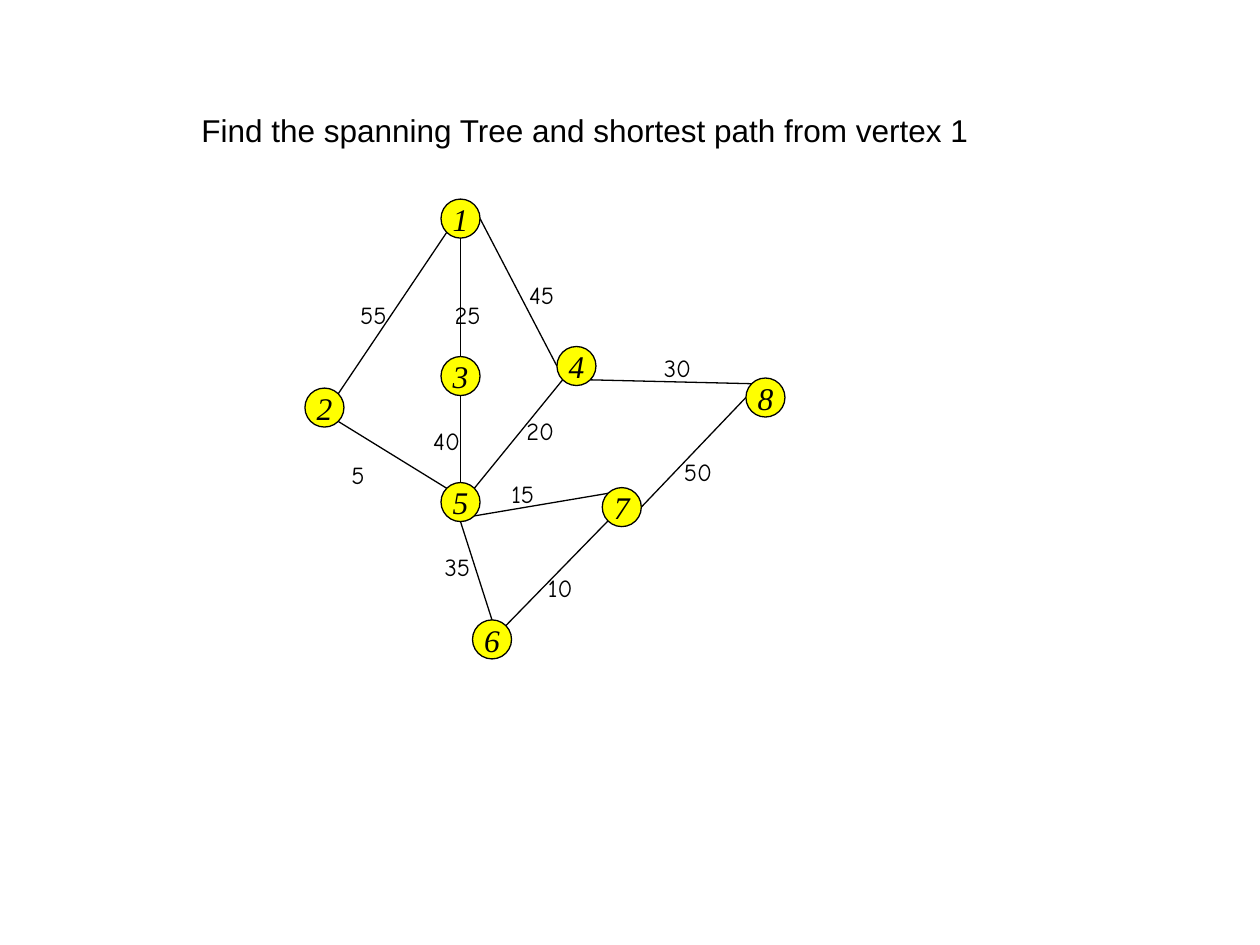
import dataclasses
import math

import lxml.etree
import pptx
import pptx.dml.color
import pptx.enum.shapes
import pptx.enum.text
import pptx.oxml.ns
import pptx.util

PX = 9144
NODE_SIZE = 31
BLACK = "000000"
YELLOW = "FFFF00"
TOP, TOP_LEFT, LEFT, BOTTOM_LEFT, BOTTOM, BOTTOM_RIGHT, RIGHT, TOP_RIGHT = range(8)


@dataclasses.dataclass(frozen=True)
class Node:
    name: str
    left: int
    top: int

    def site(self, index: int) -> tuple[int, int]:
        radius = NODE_SIZE / 2
        angle = math.radians(45 * index)
        return (
            round((self.left + radius - radius * math.sin(angle)) * PX),
            round((self.top + radius - radius * math.cos(angle)) * PX),
        )


@dataclasses.dataclass(frozen=True)
class Edge:
    start: str
    start_site: int
    end: str
    end_site: int


@dataclasses.dataclass(frozen=True)
class Label:
    text: str
    left: int
    top: int
    width: int
    height: int = 34


NODES = [
    Node("1", 350, 158),
    Node("2", 242, 308),
    Node("3", 350, 283),
    Node("4", 442, 275),
    Node("5", 350, 383),
    Node("6", 375, 492),
    Node("7", 478, 387),
    Node("8", 592, 300),
]
EDGES = [
    Edge("2", TOP_RIGHT, "1", BOTTOM_LEFT),
    Edge("2", BOTTOM_RIGHT, "5", TOP_LEFT),
    Edge("3", TOP, "1", BOTTOM),
    Edge("3", BOTTOM, "5", TOP),
    Edge("5", TOP_RIGHT, "4", BOTTOM_LEFT),
    Edge("5", BOTTOM_RIGHT, "7", TOP_LEFT),
    Edge("7", RIGHT, "8", LEFT),
    Edge("4", BOTTOM_RIGHT, "8", TOP_LEFT),
    Edge("1", RIGHT, "4", LEFT),
    Edge("5", BOTTOM, "6", TOP),
    Edge("6", TOP_RIGHT, "7", BOTTOM_LEFT),
]
WEIGHTS = [
    Label("55", 276, 233, 42),
    Label("45", 410, 217, 42),
    Label("10", 425, 450, 41),
    Label("35", 343, 433, 42),
    Label("30", 517, 275, 43),
    Label("50", 533, 358, 44),
    Label("15", 396, 375, 40),
    Label("40", 334, 333, 43),
    Label("25", 351, 233, 43),
    Label("5", 269, 360, 32),
    Label("20", 408, 325, 44),
]
TITLE = Label("Find the spanning Tree and shortest path from vertex 1", 150, 83, 630, 40)

NODE_FONT = {"name": "Times New Roman", "size": pptx.util.Pt(18), "italic": True}
WEIGHT_FONT = {"name": "Comic Neue", "size": pptx.util.Pt(14)}
TITLE_FONT = {"name": "Arial", "size": pptx.util.Pt(18)}


def color(value: str) -> pptx.dml.color.RGBColor:
    return pptx.dml.color.RGBColor.from_string(value)


def set_line(line) -> None:
    line.color.rgb = color(BLACK)
    line.width = pptx.util.Pt(0.75)


def write_text(box, text: str, font_format: dict, alignment) -> None:
    box.text_frame.word_wrap = False
    para = box.text_frame.paragraphs[0]
    para.alignment = alignment
    span = para.add_run()
    span.text = text
    for name, value in font_format.items():
        setattr(span.font, name, value)
    span.font.color.rgb = color(BLACK)


def draw_node(page, node: Node):
    circle = page.shapes.add_shape(
        pptx.enum.shapes.MSO_SHAPE.OVAL,
        node.left * PX, node.top * PX, NODE_SIZE * PX, NODE_SIZE * PX,
    )
    circle.shadow.inherit = False
    circle.fill.solid()
    circle.fill.fore_color.rgb = color(YELLOW)
    set_line(circle.line)
    circle.text_frame.vertical_anchor = pptx.enum.text.MSO_ANCHOR.MIDDLE
    write_text(circle, node.name, NODE_FONT, pptx.enum.text.PP_ALIGN.CENTER)
    return circle


def draw_edge(page, edge: Edge, nodes: dict, circles: dict) -> None:
    connector = page.shapes.add_connector(
        pptx.enum.shapes.MSO_CONNECTOR.STRAIGHT,
        *nodes[edge.start].site(edge.start_site),
        *nodes[edge.end].site(edge.end_site),
    )
    set_line(connector.line)
    qn = pptx.oxml.ns.qn
    lxml.etree.SubElement(connector.element.spPr, qn("a:effectLst"))
    joints = connector.element.find(".//" + qn("p:cNvCxnSpPr"))
    for tag, name, site in (
        ("a:stCxn", edge.start, edge.start_site),
        ("a:endCxn", edge.end, edge.end_site),
    ):
        joint = lxml.etree.SubElement(joints, qn(tag))
        joint.set("id", str(circles[name].shape_id))
        joint.set("idx", str(site))


def draw_label(page, label: Label, font_format: dict) -> None:
    box = page.shapes.add_textbox(
        label.left * PX, label.top * PX, label.width * PX, label.height * PX
    )
    write_text(box, label.text, font_format, pptx.enum.text.PP_ALIGN.LEFT)
    box.text_frame.auto_size = pptx.enum.text.MSO_AUTO_SIZE.SHAPE_TO_FIT_TEXT


def main() -> None:
    deck = pptx.Presentation()
    deck.slide_width = 1000 * PX
    deck.slide_height = 750 * PX
    page = deck.slides.add_slide(deck.slide_layouts[6])
    nodes = {node.name: node for node in NODES}
    circles = {node.name: draw_node(page, node) for node in NODES}
    for edge in EDGES:
        draw_edge(page, edge, nodes, circles)
    for weight in WEIGHTS:
        draw_label(page, weight, WEIGHT_FONT)
    draw_label(page, TITLE, TITLE_FONT)
    deck.save("out.pptx")


if __name__ == "__main__":
    main()
